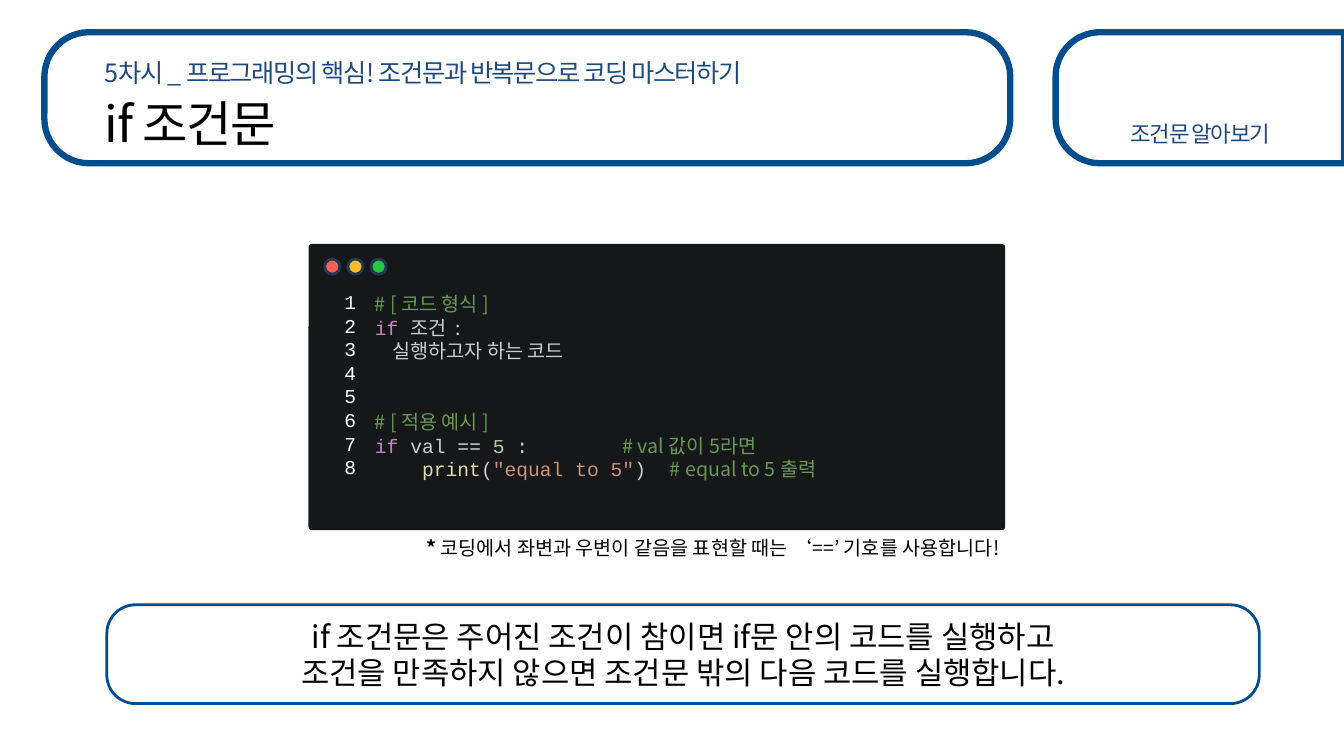
from math import cos, pi, sin

from lxml.etree import SubElement
from pptx import Presentation
from pptx.dml.color import RGBColor
from pptx.enum.shapes import MSO_SHAPE
from pptx.enum.text import MSO_ANCHOR, MSO_AUTO_SIZE, PP_ALIGN
from pptx.oxml.ns import qn
from pptx.util import Inches, Pt

SANS, MONO = "Noto Sans CJK KR", "Courier New"
BLACK, WHITE, NAVY, FRAME = "000000", "FFFFFF", "1F497D", "004D8D"
GREEN, PURPLE, GREY = "6A9955", "C586C0", "CCCCCC"
CODE_SIZE = 14
LINE_RATIO = 1.2

CODE_LINES = [
    (0, [("# [ 코드 형식 ]", SANS, GREEN)]),
    (0, [("if ", MONO, PURPLE), ("조건  :", SANS, GREY)]),
    (0, [("    실행하고자 하는 코드", SANS, GREY)]),
    (2, [("# [ 적용 예시 ]", SANS, GREEN)]),
    (0, [("if ", MONO, PURPLE), ("val ", MONO, GREY), ("== ", MONO, "D4D4D4"),
         ("5", MONO, "B5CEA8"), (" :        ", MONO, GREY),
         ("# val 값이 5라면", SANS, GREEN)]),
    (0, [("    ", MONO, GREY), ("print", MONO, "DCDCAA"), ("(", MONO, GREY),
         ('"equal to 5"', MONO, "CE9178"), (")  ", MONO, GREY),
         ("# equal to 5 출력", SANS, GREEN)]),
]


def color(value):
    """Turn a hex string into a colour."""
    return RGBColor.from_string(value)


def paint(shape, fill, line=None, width=0):
    """Set the fill and the outline of a shape and drop its shadow."""
    shape.shadow.inherit = False
    shape.fill.solid()
    shape.fill.fore_color.rgb = color(fill)
    if line:
        shape.line.color.rgb = color(line)
        shape.line.width = Pt(width)
    else:
        shape.line.fill.background()


def add_preset(shapes, kind, place, fill, line=None, width=0, corner=None):
    """Add a painted preset shape."""
    shape = shapes.add_shape(kind, *map(Inches, place))
    if corner is not None:
        shape.adjustments[0] = corner
    paint(shape, fill, line, width)
    return shape


def add_open_frame(shapes, left, top, right, bottom, radius):
    """Add a frame with rounded left corners that runs to the slide edge."""
    steps = 16
    points = [(right, top)]
    for center_y, start in ((top + radius, pi / 2), (bottom - radius, pi)):
        for step in range(steps + 1):
            angle = start + step * pi / 2 / steps
            points.append((left + radius + radius * cos(angle),
                           center_y - radius * sin(angle)))
    points.append((right, bottom))
    emu = [(Inches(x), Inches(y)) for x, y in points]
    builder = shapes.build_freeform(*emu[0])
    builder.add_line_segments(emu[1:], close=True)
    paint(builder.convert_to_shape(), WHITE, FRAME, 4.5)


def add_span(para, text, size, font=SANS, ink=BLACK, bold=False, tracking=0):
    """Add one formatted run."""
    span = para.add_run()
    span.text = text
    span.font.size = Pt(size)
    span.font.bold = bold
    span.font.color.rgb = color(ink)
    span.font.name = font
    properties = span.font._element
    SubElement(properties, qn("a:ea")).set("typeface", font)
    if tracking:
        properties.set("spc", str(tracking))


def set_para(para, size, align=PP_ALIGN.LEFT, ratio=LINE_RATIO):
    """Set the alignment and the exact line height of a paragraph."""
    para.alignment = align
    para.line_spacing = Pt(round(size * ratio, 1))
    para.space_before = Pt(0)


def next_para(frame, index):
    """Return the first paragraph of a frame or add a further one."""
    return frame.add_paragraph() if index else frame.paragraphs[0]


def add_box(shapes, place):
    """Add an empty wrapping text box and return its frame."""
    frame = shapes.add_textbox(*map(Inches, place)).text_frame
    frame.word_wrap = True
    return frame


def add_label(shapes, place, text, size, align=PP_ALIGN.LEFT):
    """Add a navy header label."""
    para = add_box(shapes, place).paragraphs[0]
    set_para(para, size, align)
    add_span(para, text, size, ink=NAVY, tracking=-100)


def set_title(page, text):
    """Place and format the title above the header frames."""
    title = page.shapes.title
    title.left, title.top, title.width, title.height = map(
        Inches, (0.94, 0.82, 8.33, 0.59))
    frame = title.text_frame
    frame.auto_size = MSO_AUTO_SIZE.NONE
    frame.vertical_anchor = MSO_ANCHOR.TOP
    frame.margin_top = Inches(0.1)
    set_para(frame.paragraphs[0], 35.3)
    add_span(frame.paragraphs[0], text, 35.3, tracking=-100)
    title.element.getparent().append(title.element)


def add_summary(shapes, lines):
    """Add the framed summary at the foot of the slide."""
    box = add_preset(shapes, MSO_SHAPE.ROUNDED_RECTANGLE,
                     (1.06, 6, 11.43, 0.98), WHITE, FRAME, 2, 0.29)
    frame = box.text_frame
    frame.word_wrap = True
    frame.vertical_anchor = MSO_ANCHOR.MIDDLE
    for index, line in enumerate(lines):
        para = next_para(frame, index)
        set_para(para, 22, PP_ALIGN.CENTER)
        add_span(para, line, 22)


def add_note(shapes):
    """Add the remark under the code window."""
    para = add_box(shapes, (3, 5.23, 7.01, 0.34)).paragraphs[0]
    set_para(para, CODE_SIZE, PP_ALIGN.RIGHT, LINE_RATIO * 1.15)
    add_span(para, "* ", CODE_SIZE, bold=True)
    add_span(para, "코딩에서 좌변과 우변이 같음을 표현할 때는 ‘==’ 기호를 사용합니다!",
             CODE_SIZE)


def add_code_window(page):
    """Add the dark editor window with its code and line numbers."""
    shapes = page.shapes.add_group_shape().shapes
    add_preset(shapes, MSO_SHAPE.ROUNDED_RECTANGLE,
               (3.06, 2.42, 6.91, 2.84), "151718", corner=0.012)
    for index, fill in enumerate(("FF5F56", "FFBD2E", "27C93F")):
        add_preset(shapes, MSO_SHAPE.OVAL,
                   (3.22 + 0.23 * index, 2.57, 0.15, 0.15), fill, "233953", 2)
    code = add_box(shapes, (3.62, 2.85, 5.26, 2.41))
    for index, (skipped, spans) in enumerate(CODE_LINES):
        para = next_para(code, index)
        set_para(para, CODE_SIZE)
        para.space_before = Pt(skipped * CODE_SIZE * LINE_RATIO)
        for text, font, ink in spans:
            add_span(para, text, CODE_SIZE, font, ink)
    numbers = add_box(shapes, (3.2, 2.83, 0.43, 2.22))
    for index in range(8):
        para = next_para(numbers, index)
        set_para(para, CODE_SIZE, PP_ALIGN.RIGHT)
        add_span(para, str(index + 1), CODE_SIZE, MONO, WHITE)


def main():
    """Build the slide and save the deck."""
    deck = Presentation()
    deck.slide_width, deck.slide_height = Inches(13.33), Inches(7.5)
    page = deck.slides.add_slide(deck.slide_layouts[5])
    shapes = page.shapes
    add_open_frame(shapes, 10.47, 0.32, 13.33, 1.62, 0.44)
    add_preset(shapes, MSO_SHAPE.ROUNDED_RECTANGLE,
               (0.44, 0.32, 9.58, 1.3), WHITE, FRAME, 4.5, 0.34)
    add_label(shapes, (0.94, 0.52, 8.33, 0.31),
              "5차시 _ 프로그래밍의 핵심! 조건문과 반복문으로 코딩 마스터하기", 18)
    set_title(page, "if 조건문")
    add_label(shapes, (11.06, 1.14, 1.69, 0.39), "조건문 알아보기", 16,
              PP_ALIGN.CENTER)
    add_summary(shapes, ("if 조건문은 주어진 조건이 참이면 if문 안의 코드를 실행하고",
                         "조건을 만족하지 않으면 조건문 밖의 다음 코드를 실행합니다."))
    add_note(shapes)
    add_code_window(page)
    deck.save("out.pptx")


if __name__ == "__main__":
    main()
